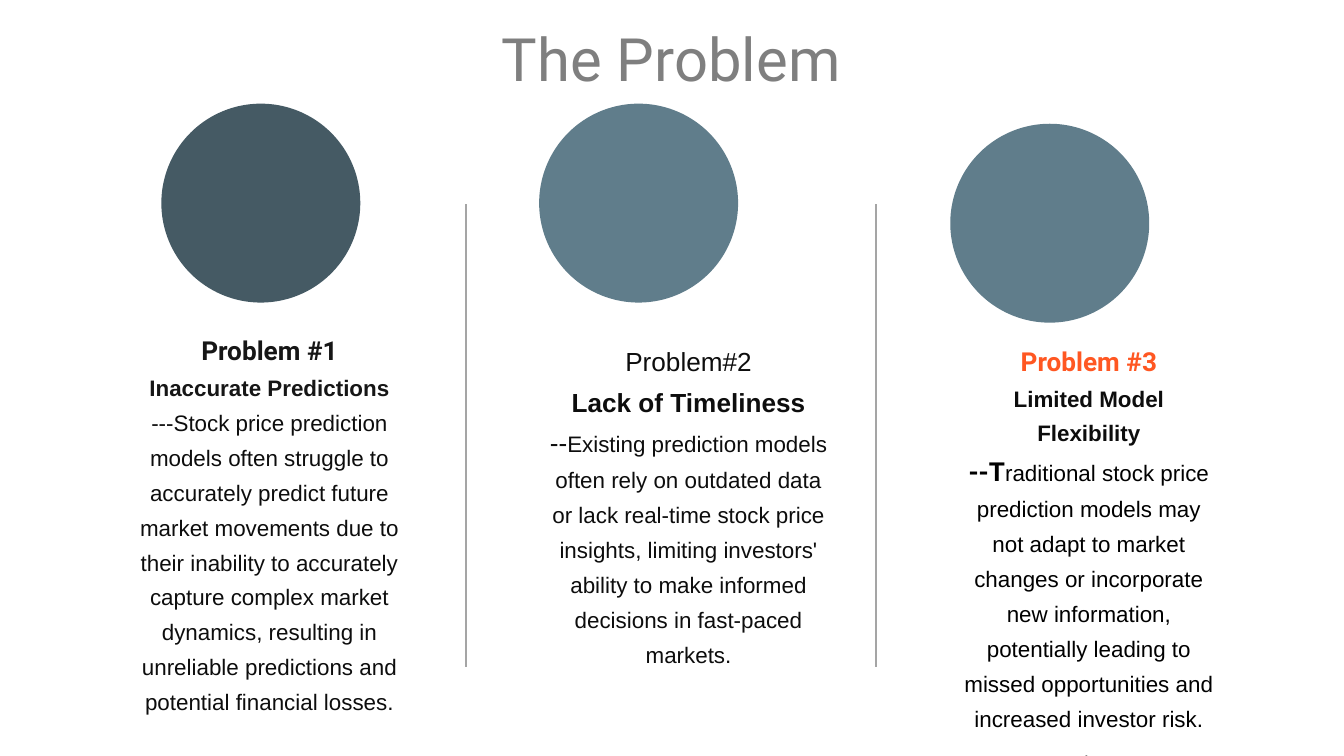
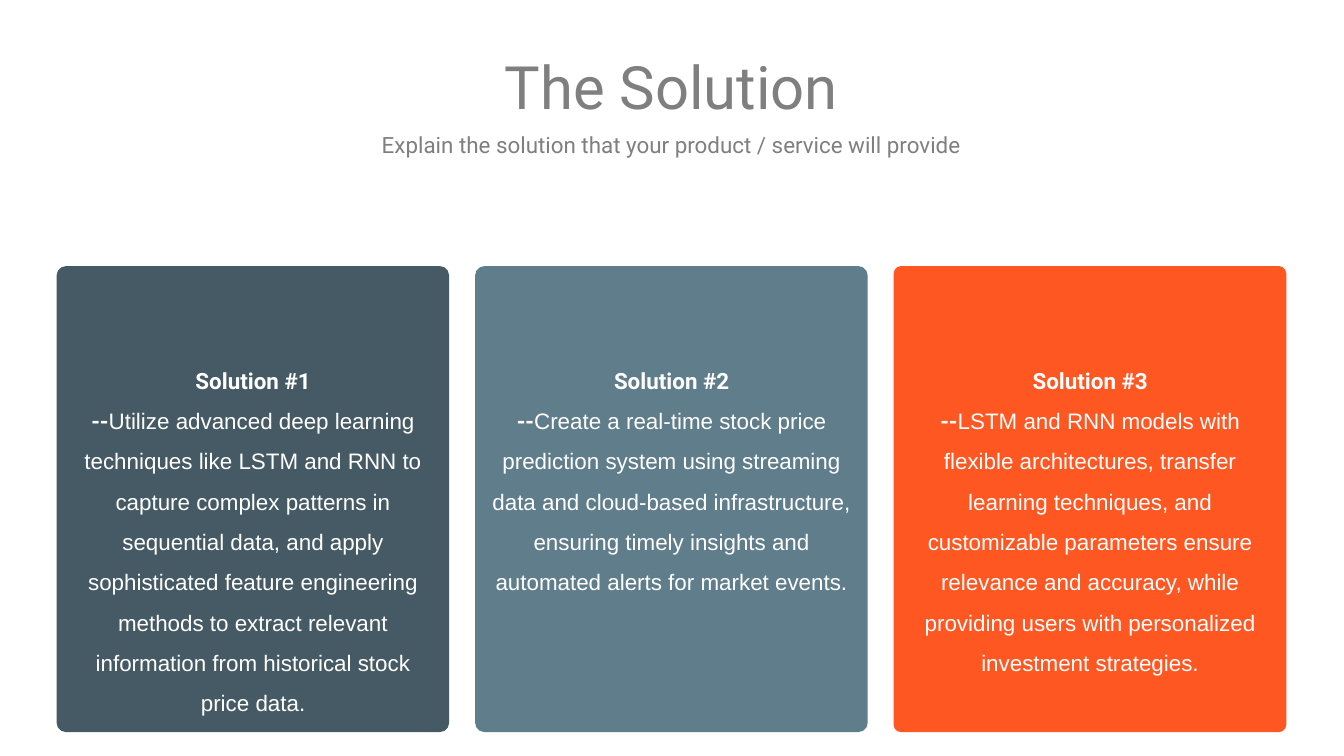
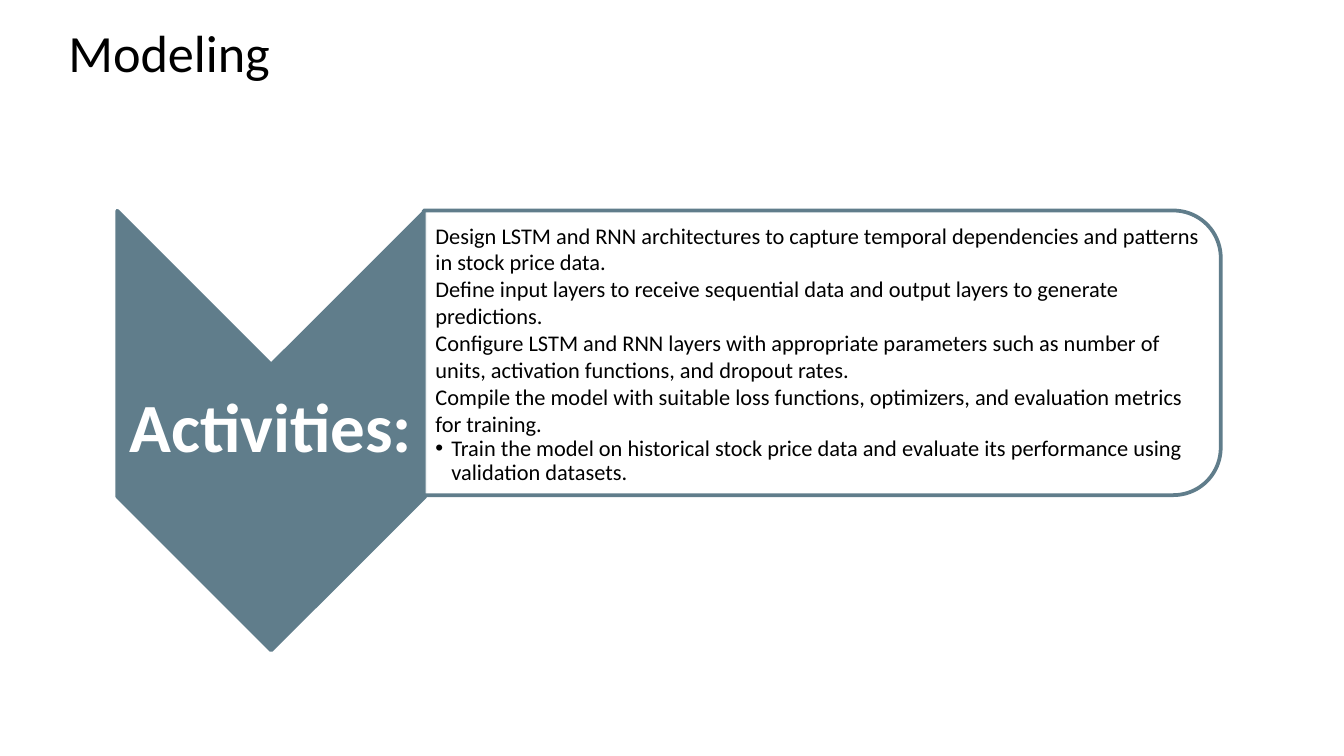
from dataclasses import dataclass
from lxml.etree import SubElement as Sub
from pptx import Presentation
from pptx.dml.color import RGBColor as Rgb
from pptx.enum.shapes import MSO_CONNECTOR as Conn, MSO_SHAPE as Kind
from pptx.enum.text import MSO_ANCHOR as Anchor, MSO_AUTO_SIZE as Auto, PP_ALIGN as Align
from pptx.oxml.ns import qn
from pptx.util import Cm, Pt

SLATE, STEEL, CORAL = "455A64", "607D8B", "FF5722"
GRAY, RULE, INK, DARK = "7F7F7F", "A5A5A5", "0D0D0D", "161616"
WHITE, BLACK = "FFFFFF", "000000"
LEFT, WIDE = 1.07, 23.24
DISC = 3.76


@dataclass
class Box:
    x: float
    y: float
    w: float
    h: float

    def cm(self) -> tuple:
        return Cm(self.x), Cm(self.y), Cm(self.w), Cm(self.h)


@dataclass
class Bit:
    text: str
    size: float = 12
    face: str = "Arial"
    tint: str = INK
    bold: bool = False


@dataclass
class Para:
    bits: list[Bit]
    space: float = 1.0
    align: Align = Align.CENTER
    mark: str = ""


@dataclass
class Issue:
    disc: tuple[float, float]
    tint: str
    box: Box
    paras: list[list[Bit]]


@dataclass
class Card:
    tint: str
    curve: float
    high: float
    text: str


@dataclass
class Inset:
    left: float = 0
    top: float = 0
    right: float = 0
    low: float = 0


def color(code: str) -> Rgb:
    return Rgb.from_string(code)


def style(font, bit: Bit) -> None:
    font.size = Pt(bit.size)
    font.name = bit.face
    font.bold = bit.bold
    font.color.rgb = color(bit.tint)


def bullet(item, mark: str) -> None:
    props = item._p.get_or_add_pPr()
    hang = Cm(0.3) if mark else 0
    props.set("marL", str(hang))
    props.set("indent", str(-hang))
    if mark:
        Sub(Sub(props, qn("a:buClr")), qn("a:srgbClr"), val=BLACK)
        Sub(props, qn("a:buFont"), typeface="Arial")
        Sub(props, qn("a:buChar"), char=mark)
    else:
        Sub(props, qn("a:buNone"))


def write(shape, box: Box, paras: list[Para], anchor: Anchor = Anchor.TOP,
          pad: Inset = Inset()) -> None:
    shape.left, shape.top, shape.width, shape.height = box.cm()
    frame = shape.text_frame
    frame.auto_size = Auto.NONE
    frame.word_wrap = True
    frame.vertical_anchor = anchor
    frame.margin_left, frame.margin_top = Cm(pad.left), Cm(pad.top)
    frame.margin_right, frame.margin_bottom = Cm(pad.right), Cm(pad.low)
    for i, para in enumerate(paras):
        item = frame.add_paragraph() if i else frame.paragraphs[0]
        item.alignment = para.align
        item.line_spacing = para.space
        item.space_before = item.space_after = Pt(0)
        bullet(item, para.mark)
        for bit in para.bits:
            run = item.add_run()
            run.text = bit.text
            style(run.font if len(para.bits) > 1 else item.font, bit)


def label(slide, box: Box, paras: list[Para], anchor: Anchor = Anchor.TOP,
          pad: Inset = Inset()) -> None:
    write(slide.shapes.add_textbox(*box.cm()), box, paras, anchor, pad)


def head(slide, para: Para, top: float = 0.94, low: float = 0) -> None:
    write(slide.shapes.title, Box(LEFT, top, WIDE, 1.37), [para], Anchor.MIDDLE, Inset(low=low))


def draw(slide, kind: Kind, box: Box, tint: str, edge: str = "", turn: float = 0):
    shape = slide.shapes.add_shape(kind, *box.cm())
    shape.shadow.inherit = False
    shape.rotation = turn
    shape.fill.solid()
    shape.fill.fore_color.rgb = color(tint)
    if edge:
        shape.line.color.rgb = color(edge)
        shape.line.width = Pt(2)
    else:
        shape.line.fill.background()
    return shape


def rule(slide, x: float) -> None:
    line = slide.shapes.add_connector(Conn.STRAIGHT, Cm(x), Cm(3.86), Cm(x), Cm(12.6))
    line.line.color.rgb = color(RULE)
    line.line.width = Pt(1)
    Sub(line.element.spPr, qn("a:effectLst"))


def big(text: str) -> Para:
    return Para([Bit(text, 32, "Roboto", GRAY)])


ISSUES = [
    Issue((3.05, 1.96), SLATE, Box(2.54, 6.15, 5.11, 7.87), [
        [Bit("Problem #1", 14, "Roboto", DARK, True)],
        [Bit("Inaccurate Predictions", tint=DARK, bold=True)],
        [Bit("---Stock price prediction models often struggle to accurately predict future "
             "market movements due to their inability to accurately capture complex market "
             "dynamics, resulting in unreliable predictions and potential financial losses.")],
    ]),
    Issue((10.19, 1.96), STEEL, Box(10.31, 6.35, 5.41, 6.48), [
        [Bit("Problem#2", 14)],
        [Bit("Lack of Timeliness", 14, bold=True)],
        [Bit("--", 14),
         Bit("Existing prediction models often rely on outdated data or lack real-time stock "
             "price insights, limiting investors' ability to make informed decisions in "
             "fast-paced markets.")],
    ]),
    Issue((17.96, 2.34), STEEL, Box(18.19, 6.35, 4.78, 6.86), [
        [Bit("Problem #3", 14, "Roboto", CORAL, True)],
        [Bit("Limited Model Flexibility", bold=True)],
        [Bit("--T", 14, "Roboto", BLACK, True),
         Bit("raditional stock price prediction models may not adapt to market changes or "
             "incorporate new information, potentially leading to missed opportunities and "
             "increased investor risk.", tint=BLACK)],
        [Bit(". ", 10, "Roboto", GRAY)],
    ]),
]

CARDS = [
    Card(SLATE, 0.024, 3.58,
         "Utilize advanced deep learning techniques like LSTM and RNN to capture complex "
         "patterns in sequential data, and apply sophisticated feature engineering methods to "
         "extract relevant information from historical stock price data."),
    Card(STEEL, 0.024, 3.58,
         "Create a real-time stock price prediction system using streaming data and "
         "cloud-based infrastructure, ensuring timely insights and automated alerts for "
         "market events."),
    Card(CORAL, 0.019, 4.6,
         "LSTM and RNN models with flexible architectures, transfer learning techniques, and "
         "customizable parameters ensure relevance and accuracy, while providing users with "
         "personalized investment strategies."),
]

STEPS = [
    "Design LSTM and RNN architectures to capture temporal dependencies and patterns in stock "
    "price data.",
    "Define input layers to receive sequential data and output layers to generate predictions.",
    "Configure LSTM and RNN layers with appropriate parameters such as number of units, "
    "activation functions, and dropout rates.",
    "Compile the model with suitable loss functions, optimizers, and evaluation metrics for "
    "training.",
]
LAST = ("Train the model on historical stock price data and evaluate its performance using "
        "validation datasets.")


def problem(slide) -> None:
    head(slide, big("The Problem"), 0.41)
    for x in (8.81, 16.56):
        rule(slide, x)
    for issue in ISSUES:
        draw(slide, Kind.OVAL, Box(*issue.disc, DISC, DISC), issue.tint)
        label(slide, issue.box, [Para(bits, 1.3) for bits in issue.paras])


def answer(slide) -> None:
    head(slide, big("The Solution"))
    lead = Bit("Explain the solution that your product / service will provide",
               12, "Roboto", GRAY)
    write(slide.placeholders[1], Box(LEFT, 2.46, WIDE, 0.48), [Para([lead], 1.15)],
          Anchor.MIDDLE)
    for i, card in enumerate(CARDS):
        x = LEFT + i * 7.91
        draw(slide, Kind.ROUNDED_RECTANGLE, Box(x, 5.03, 7.42, 8.81),
             card.tint).adjustments[0] = card.curve
        name = Bit(f"Solution #{i + 1}", 12, "Roboto", WHITE, True)
        dash = Bit("--", 12, "Roboto", WHITE, True)
        label(slide, Box(x + 0.25, 6.68, 6.93, card.high),
              [Para([name], 1.5), Para([dash, Bit(card.text, tint=WHITE)], 1.5)])


def model(slide) -> None:
    head(slide, Para([Bit(" Modeling", 28, "Calibri", BLACK)], align=Align.LEFT), low=1.3)
    draw(slide, Kind.CHEVRON, Box(0.97, 5.23, 8.31, 5.82), STEEL, STEEL, 90)
    label(slide, Box(2.21, 6.88, 5.82, 2.49),
          [Para([Bit("Activities:", 37, "Calibri", WHITE, True)], 0.9)],
          Anchor.MIDDLE, Inset(0.08, 0.08, 0.08, 0.08))
    panel = draw(slide, Kind.ROUND_2_SAME_RECTANGLE, Box(12.85, -0.86, 5.38, 15.06),
                 WHITE, STEEL, 90)
    shade = panel.element.spPr.find(qn("a:solidFill")).find(qn("a:srgbClr"))
    Sub(shade, qn("a:alpha"), val="90000")
    steps = [Para([Bit(step, 12, "Calibri", BLACK)], align=Align.LEFT) for step in STEPS]
    steps.append(Para([Bit(LAST, 12, "Calibri", BLACK)], 0.9, Align.LEFT, "•"))
    body = slide.placeholders[1]
    write(body, Box(8, 4.24, 14.78, 4.88), steps, Anchor.MIDDLE, Inset(0.23, 0.03, 0.03, 0.03))
    body.element.getparent().append(body.element)


def main() -> None:
    deck = Presentation()
    deck.slide_width, deck.slide_height = Cm(25.4), Cm(14.29)
    for fill, kind in ((problem, 5), (answer, 1), (model, 1)):
        fill(deck.slides.add_slide(deck.slide_layouts[kind]))
    deck.save("out.pptx")


if __name__ == "__main__":
    main()
